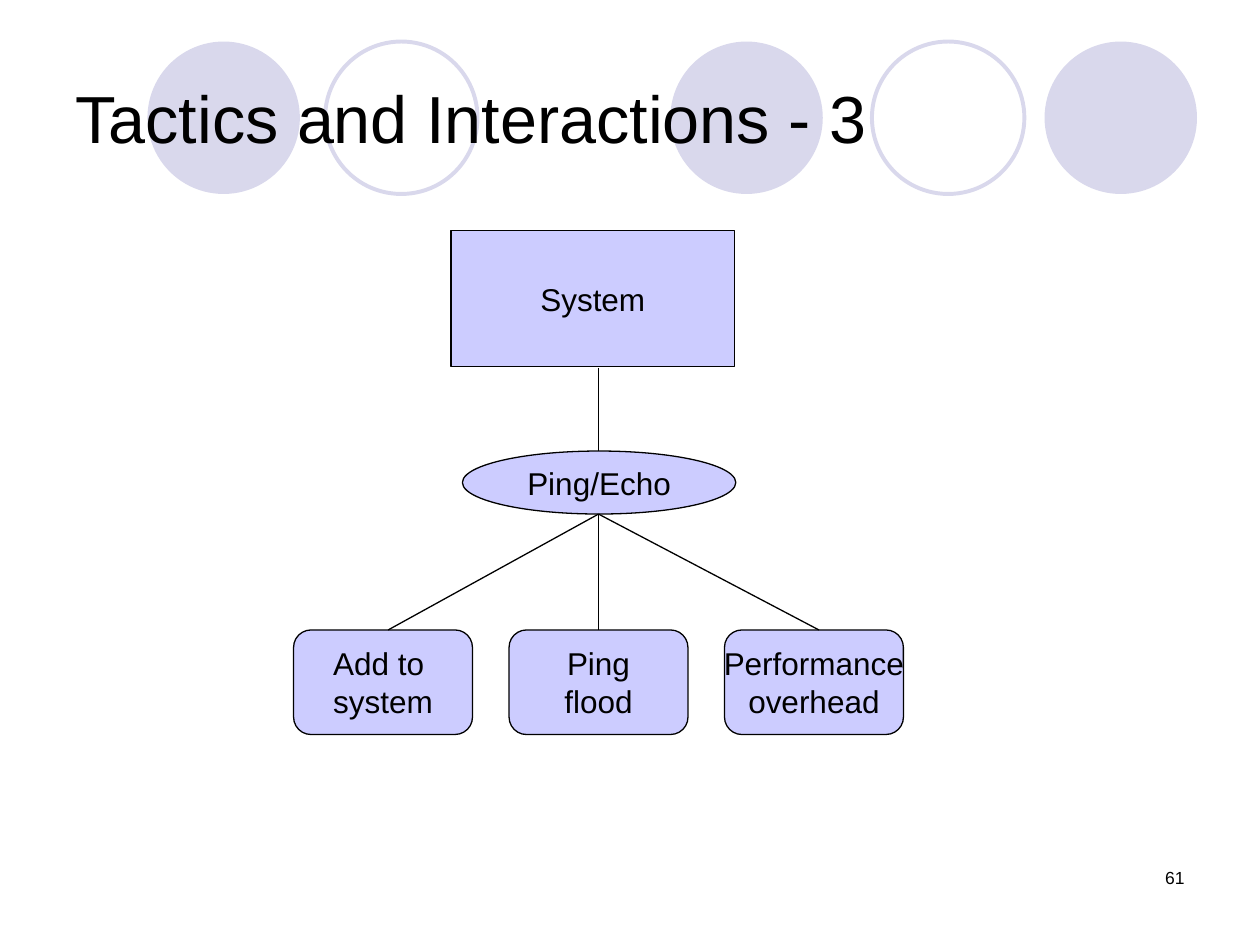
from typing import NamedTuple, Optional

from lxml.etree import SubElement
from pptx import Presentation
from pptx.dml.color import RGBColor
from pptx.enum.shapes import MSO_CONNECTOR, MSO_SHAPE
from pptx.enum.text import MSO_ANCHOR, PP_ALIGN
from pptx.oxml.ns import qn
from pptx.util import Inches, Pt

COLORS = {"circle": "D9D8EC", "node": "CCCCFF", "ink": "000000"}
FONT = "Arial"


class Circle(NamedTuple):
    left: float
    filled: bool


class Node(NamedTuple):
    kind: MSO_SHAPE
    left: float
    top: float
    width: float
    height: float
    text: str


class Link(NamedTuple):
    start: tuple[float, float]
    end: tuple[float, float]
    source: Optional[str] = None
    target: Optional[str] = None


CIRCLES = [
    Circle(1.17, True),
    Circle(2.58, False),
    Circle(5.32, True),
    Circle(6.92, False),
    Circle(8.29, True),
]
EFFECTS = ["Add to \nsystem", "Ping\nflood", "Performance\noverhead"]
NODES = [
    Node(MSO_SHAPE.RECTANGLE, 3.58, 1.83, 2.25, 1.08, "System"),
    Node(MSO_SHAPE.OVAL, 3.67, 3.58, 2.17, 0.5, "Ping/Echo"),
] + [
    Node(MSO_SHAPE.ROUNDED_RECTANGLE, 2.33 + 1.71 * index, 5, 1.42, 0.83, text)
    for index, text in enumerate(EFFECTS)
]
HUB = (4.75, 4.08)
LINKS = [
    Link((4.75, 2.92), (4.75, 3.58)),
    Link(HUB, (3.08, 5)),
    Link(HUB, (4.75, 5), target="Ping\nflood"),
    Link(HUB, (6.5, 5)),
]


def color(name: str) -> RGBColor:
    """Look up a named colour."""
    return RGBColor.from_string(COLORS[name])


def write(shape, text: str, size: float, align: PP_ALIGN, anchor: MSO_ANCHOR, wrap: bool) -> None:
    """Put formatted text in a shape."""
    frame = shape.text_frame
    frame.text = text
    frame.word_wrap = wrap
    frame.vertical_anchor = anchor
    for para in frame.paragraphs:
        para.alignment = align
        for span in para.runs:
            span.font.name = FONT
            span.font.size = Pt(size)
            span.font.color.rgb = color("ink")


def add_circle(page, circle: Circle) -> None:
    """Draw one decorative circle behind the title."""
    shape = page.shapes.add_shape(
        MSO_SHAPE.OVAL, Inches(circle.left), Inches(0.33), Inches(1.21), Inches(1.21)
    )
    shape.shadow.inherit = False
    if circle.filled:
        shape.fill.solid()
        shape.fill.fore_color.rgb = color("circle")
        shape.line.fill.background()
    else:
        shape.fill.background()
        shape.line.color.rgb = color("circle")
        shape.line.width = Pt(2.25)


def add_text(page, left: float, top: float, width: float, height: float, text: str,
             size: float, align: PP_ALIGN, anchor: MSO_ANCHOR) -> None:
    """Add a wrapping text box."""
    box = page.shapes.add_textbox(Inches(left), Inches(top), Inches(width), Inches(height))
    write(box, text, size, align, anchor, True)


def add_node(page, node: Node):
    """Draw one labelled diagram node."""
    shape = page.shapes.add_shape(
        node.kind, Inches(node.left), Inches(node.top), Inches(node.width), Inches(node.height)
    )
    shape.shadow.inherit = False
    shape.fill.solid()
    shape.fill.fore_color.rgb = color("node")
    shape.line.color.rgb = color("ink")
    shape.line.width = Pt(0.75)
    write(shape, node.text, 18, PP_ALIGN.CENTER, MSO_ANCHOR.MIDDLE, False)
    return shape


def add_link(page, link: Link, shapes: dict) -> None:
    """Draw a straight line, joined to its target node where one is named."""
    line = page.shapes.add_connector(
        MSO_CONNECTOR.STRAIGHT, *(Inches(value) for value in link.start + link.end)
    )
    line.line.color.rgb = color("ink")
    line.line.width = Pt(0.75)
    SubElement(line._element.spPr, qn("a:effectLst"))
    if link.source:
        line.begin_connect(shapes[link.source], 2)
    if link.target:
        line.end_connect(shapes[link.target], 0)


def main() -> None:
    """Build the slide and save it."""
    deck = Presentation()
    deck.slide_width, deck.slide_height = Inches(10), Inches(7.5)
    page = deck.slides.add_slide(deck.slide_layouts[6])
    for circle in CIRCLES:
        add_circle(page, circle)
    add_text(page, 0.5, 0.3, 9, 1.25, "Tactics and Interactions - 3", 38,
             PP_ALIGN.LEFT, MSO_ANCHOR.MIDDLE)
    shapes = {node.text: add_node(page, node) for node in NODES}
    for link in LINKS:
        add_link(page, link, shapes)
    add_text(page, 7.17, 6.83, 2.33, 0.5, "61", 10, PP_ALIGN.RIGHT, MSO_ANCHOR.TOP)
    deck.save("out.pptx")


if __name__ == "__main__":
    main()
